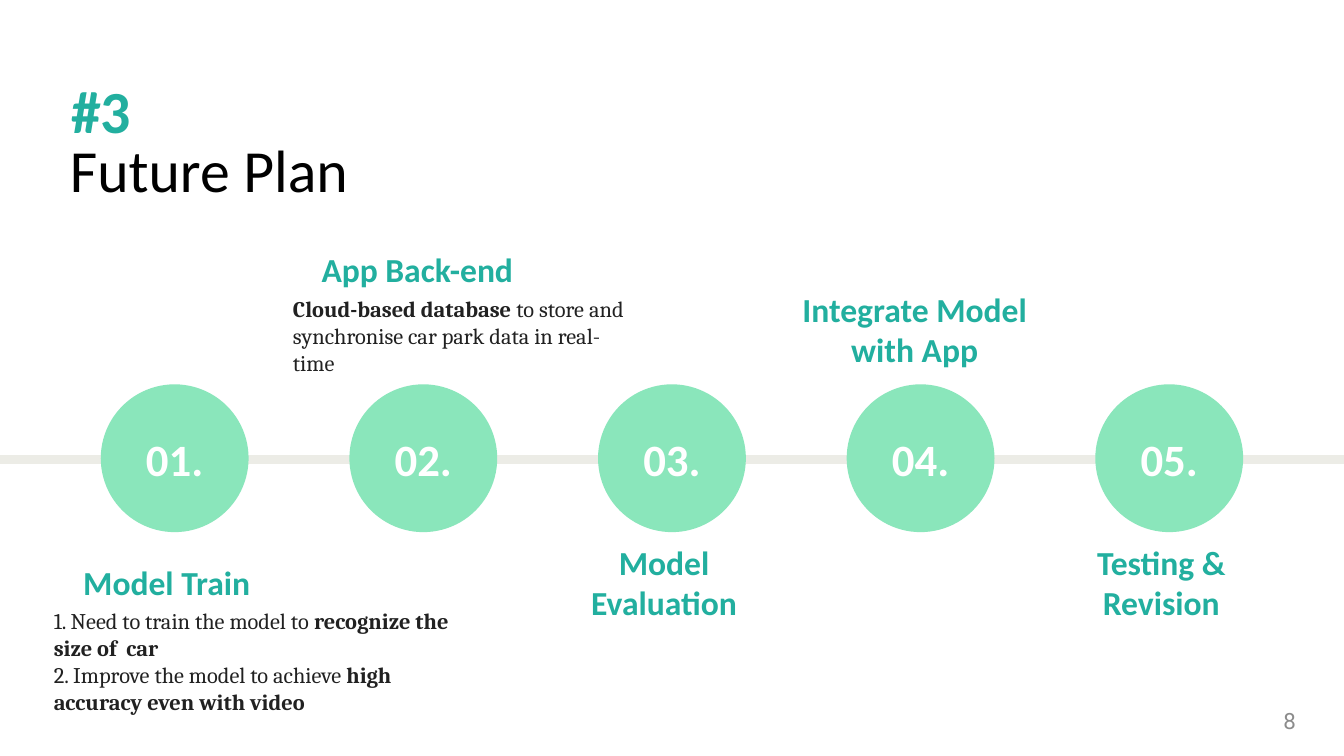
"""Build the future plan timeline slide."""
from dataclasses import dataclass

from lxml import etree
from pptx import Presentation
from pptx.dml.color import RGBColor
from pptx.enum.shapes import MSO_CONNECTOR, MSO_SHAPE
from pptx.enum.text import MSO_ANCHOR, PP_ALIGN
from pptx.oxml.ns import qn
from pptx.slide import Slide
from pptx.text.text import TextFrame
from pptx.util import Pt

STRAIGHT = MSO_CONNECTOR.STRAIGHT
OVAL = MSO_SHAPE.OVAL
TOP, MIDDLE = MSO_ANCHOR.TOP, MSO_ANCHOR.MIDDLE
LEFT, CENTER, RIGHT = PP_ALIGN.LEFT, PP_ALIGN.CENTER, PP_ALIGN.RIGHT

TEAL = RGBColor(0x22, 0xAF, 0x9F)
MINT = RGBColor(0x8A, 0xE6, 0xBB)
WHITE = RGBColor(0xFF, 0xFF, 0xFF)
BLACK = RGBColor(0x00, 0x00, 0x00)
INK = RGBColor(0x21, 0x21, 0x21)
GRAY = RGBColor(0x8C, 0x8C, 0x8C)
RAIL = RGBColor(0xEC, 0xEC, 0xE6)

WIDTH, HEIGHT = 720, 405
RAIL_TOP = 246.24
CIRCLE_LEFT, CIRCLE_TOP, CIRCLE_SIZE, CIRCLE_PITCH = 54, 205.92, 79.2, 133.2


@dataclass(frozen=True)
class Style:
    font: str
    size: float
    color: RGBColor
    bold: bool | None = False
    align: PP_ALIGN = LEFT
    anchor: MSO_ANCHOR = TOP
    insets: tuple[float, float, float, float] = (0, 3.6, 7.2, 0)


@dataclass(frozen=True)
class Run:
    text: str
    bold: bool | None = None


@dataclass(frozen=True)
class Block:
    left: float
    top: float
    width: float
    height: float
    style: Style
    paragraphs: tuple[tuple[Run, ...], ...]


NUMBER = Style("Calibri", 24, WHITE, True, CENTER, MIDDLE, (0, 3.6, 0, 3.6))
HEADING = Style("Calibri", 18, TEAL, True, CENTER, MIDDLE)
DETAIL = Style("Cambria", 12, INK, None)
SECTION = Style("Calibri", 32, TEAL, True)
TITLE = Style("Calibri", 32, BLACK, insets=(0, 0, 0, 0))
PAGE = Style("Roboto", 12, GRAY, align=RIGHT, anchor=MIDDLE, insets=(7.2, 3.6, 7.2, 3.6))

BLOCKS = (
    Block(38.16, 36, 102.24, 35.28, SECTION, ((Run("#3"),),)),
    Block(37.44, 71.28, 524.88, 41.76, TITLE, ((Run("Future Plan"),),)),
    Block(28.8, 299.52, 128.16, 20.88, HEADING, ((Run("Model Train"),),)),
    Block(152.64, 131.76, 149.04, 20.88, HEADING, ((Run("App Back-end"),),)),
    Block(295.2, 299.52, 128.16, 20.88, HEADING, ((Run("Model Evaluation"),),)),
    Block(417.6, 164.16, 151.92, 20.88, HEADING, ((Run("Integrate Model with App"),),)),
    Block(561.6, 299.52, 128.16, 20.88, HEADING, ((Run("Testing & Revision"),),)),
    Block(28.8, 321.84, 224.64, 65.52, DETAIL, (
        (Run("1. Need to train the model to ", False), Run("recognize the size of  car", True)),
        (Run("2. Improve the model to achieve ", False), Run("high accuracy even with video", True)),
    )),
    Block(156.96, 154.8, 190.8, 36, DETAIL, (
        (Run("Cloud-based database", True),
         Run(" to store and synchronise car park data in real-time", False)),
    )),
    Block(539.28, 375.12, 162, 21.6, PAGE, ((Run("8"),),)),
)


def write_text(frame: TextFrame, style: Style, paragraphs: tuple[tuple[Run, ...], ...]) -> None:
    frame.word_wrap = True
    frame.vertical_anchor = style.anchor
    frame.margin_left, frame.margin_top, frame.margin_right, frame.margin_bottom = map(Pt, style.insets)
    for index, runs in enumerate(paragraphs):
        paragraph = frame.add_paragraph() if index else frame.paragraphs[0]
        paragraph.alignment = style.align
        paragraph.font.name = style.font
        paragraph.font.size = Pt(style.size)
        paragraph.font.bold = style.bold
        paragraph.font.color.rgb = style.color
        for item in runs:
            run = paragraph.add_run()
            run.text = item.text
            if item.bold is not None:
                run.font.bold = item.bold


def draw_rail(slide: Slide) -> None:
    rail = slide.shapes.add_connector(STRAIGHT, Pt(0), Pt(RAIL_TOP), Pt(WIDTH), Pt(RAIL_TOP))
    rail.line.color.rgb = RAIL
    rail.line.width = Pt(4.5)
    etree.SubElement(rail._element.spPr, qn("a:effectLst"))


def draw_step(slide: Slide, index: int) -> None:
    circle = slide.shapes.add_shape(
        OVAL, Pt(CIRCLE_LEFT + index * CIRCLE_PITCH), Pt(CIRCLE_TOP), Pt(CIRCLE_SIZE), Pt(CIRCLE_SIZE))
    circle.shadow.inherit = False
    circle.fill.solid()
    circle.fill.fore_color.rgb = MINT
    circle.line.fill.background()
    write_text(circle.text_frame, NUMBER, ((Run(f"{index + 1:02}."),),))


def draw_block(slide: Slide, block: Block) -> None:
    box = slide.shapes.add_textbox(Pt(block.left), Pt(block.top), Pt(block.width), Pt(block.height))
    write_text(box.text_frame, block.style, block.paragraphs)


def main() -> None:
    presentation = Presentation()
    presentation.slide_width, presentation.slide_height = Pt(WIDTH), Pt(HEIGHT)
    slide = presentation.slides.add_slide(presentation.slide_layouts[6])
    draw_rail(slide)
    for index in range(5):
        draw_step(slide, index)
    for block in BLOCKS:
        draw_block(slide, block)
    presentation.save("out.pptx")


if __name__ == "__main__":
    main()
